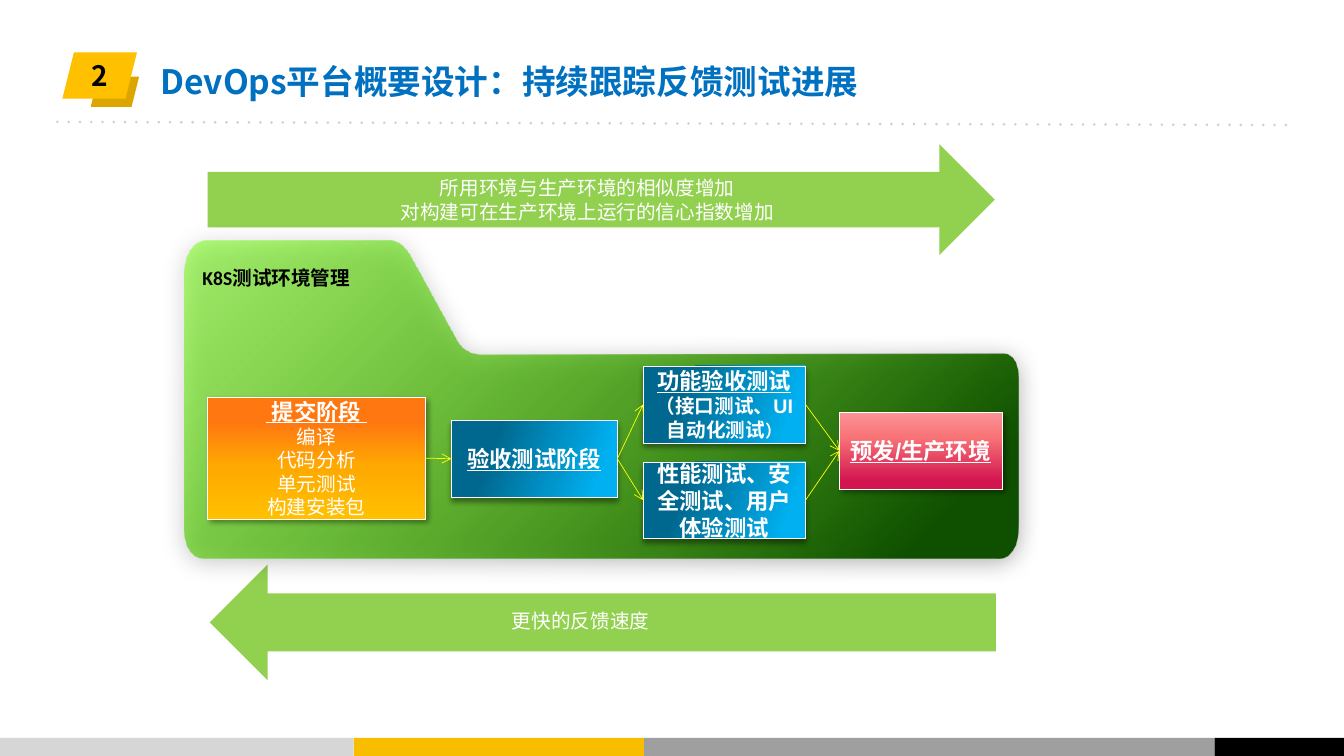
from copy import deepcopy
from dataclasses import dataclass

from lxml import etree
from pptx import Presentation
from pptx.dml.color import RGBColor
from pptx.enum.shapes import MSO_CONNECTOR, MSO_SHAPE
from pptx.enum.text import MSO_ANCHOR, MSO_AUTO_SIZE, PP_ALIGN
from pptx.oxml.ns import qn
from pptx.util import Pt

RECTANGLE, ARROW = MSO_SHAPE.RECTANGLE, MSO_SHAPE.RIGHT_ARROW
PARALLELOGRAM, STRAIGHT = MSO_SHAPE.PARALLELOGRAM, MSO_CONNECTOR.STRAIGHT
LEFT, CENTER = PP_ALIGN.LEFT, PP_ALIGN.CENTER
TOP, MIDDLE = MSO_ANCHOR.TOP, MSO_ANCHOR.MIDDLE
RIGHT_SIDE, LEFT_SIDE = 3, 1


@dataclass(frozen=True)
class Theme:
    title_font: str = "Noto Sans CJK SC"
    label_font: str = "Calibri"
    stage_font: str = "Arial"
    title_size: int = 24
    number_size: int = 20
    stage_size: int = 16
    body_size: int = 14
    small_size: int = 12
    white: str = "FFFFFF"
    black: str = "000000"
    title: str = "0070C0"
    badge: str = "FFC000"
    badge_back: str = "DCA600"
    rule: str = "D0CECE"
    arrow: str = "92D050"
    link: str = "FFFF00"
    footer: tuple = ("D6D6D6", "F9BD00", "9F9F9F", "000000")
    # Gradient stops: position in percent, colour, opacity in percent
    folder: tuple = ((0, "6EFF01", 50), (90, "0F5000", 100))
    orange: tuple = ((20, "FF7711", 100), (58, "FFAA01", 100), (100, "FFC000", 100))
    blue: tuple = ((26, "00688E", 100), (63, "0094CA", 100), (87, "00B0F0", 100))
    red: tuple = ((10, "D2144F", 100), (68, "F87477", 100), (100, "FA9496", 100))


theme = Theme()


def write(frame, lines, font, colour, align=CENTER, anchor=MIDDLE):
    """Fill a text frame with (text, size, bold, underline) lines."""
    frame.text = "\n".join(line[0] for line in lines)
    frame.word_wrap = True
    frame.auto_size = MSO_AUTO_SIZE.NONE
    frame.vertical_anchor = anchor
    for para, (_, size, bold, underline) in zip(frame.paragraphs, lines):
        para.alignment = align
        for span in para.runs:
            span.font.size = Pt(size)
            span.font.bold = bold
            span.font.underline = underline
            span.font.color.rgb = RGBColor.from_string(colour)
            span.font.name = font
            etree.SubElement(span._r.get_or_add_rPr(), qn("a:ea"), typeface=font)


def shade(shape, stops, angle, opacity, blur, distance, direction):
    """Give a shape a clockwise linear gradient and an outer shadow."""
    shape.fill.gradient()
    shape.fill.gradient_angle = 360 - angle
    stop_list = shape._element.spPr.find(".//" + qn("a:gsLst"))
    for stop in list(stop_list):
        stop_list.remove(stop)
    for position, colour, alpha in stops:
        stop = etree.SubElement(stop_list, qn("a:gs"), pos=str(position * 1000))
        fill = etree.SubElement(stop, qn("a:srgbClr"), val=colour)
        etree.SubElement(fill, qn("a:alpha"), val=str(alpha * 1000))
    shape.shadow.inherit = False
    effects = shape._element.spPr.find(qn("a:effectLst"))
    shadow = etree.SubElement(
        effects, qn("a:outerShdw"), blurRad=str(Pt(blur)), dist=str(Pt(distance)),
        dir=str(direction * 60000), algn="ctr", rotWithShape="0")
    tint = etree.SubElement(shadow, qn("a:srgbClr"), val=theme.black)
    etree.SubElement(tint, qn("a:alpha"), val=str(opacity * 1000))


deck = Presentation()
deck.slide_width, deck.slide_height = Pt(960), Pt(540)
page = deck.slides.add_slide(deck.slide_layouts[5])
shapes = page.shapes

# Title
title = shapes.title
title.left, title.top, title.width, title.height = Pt(107.3), Pt(39.6), Pt(672.5), Pt(123.8)
write(title.text_frame, [("DevOps平台概要设计：持续跟踪反馈测试进展", theme.title_size, True, False)],
      theme.title_font, theme.title, LEFT, TOP)

# Footer bars, number badge and wide arrows
footer_edges = (0, 252.7, 460.1, 867.6, 960)
flat_shapes = [
    (RECTANGLE, left, 527, right - left, 13, colour, 0)
    for left, right, colour in zip(footer_edges, footer_edges[1:], theme.footer)
] + [
    (PARALLELOGRAM, 64.8, 54.7, 34.6, 21.6, theme.badge_back, 0),
    (PARALLELOGRAM, 44.6, 37.4, 53.3, 33.1, theme.badge, 0),
    (ARROW, 148.3, 103, 562.3, 79.2, theme.arrow, 0),
    (ARROW, 149.8, 403.2, 561.6, 82.8, theme.arrow, 180),
]
drawn = []
for kind, left, top, width, height, colour, turn in flat_shapes:
    shape = shapes.add_shape(kind, Pt(left), Pt(top), Pt(width), Pt(height))
    shape.fill.solid()
    shape.fill.fore_color.rgb = RGBColor.from_string(colour)
    shape.line.fill.background()
    shape.shadow.inherit = False
    shape.rotation = turn
    drawn.append(shape)
badge, forward_arrow = drawn[-3:-1]
write(badge.text_frame, [("2", theme.number_size, True, False)], theme.title_font, theme.black)
write(forward_arrow.text_frame,
      [(text, theme.body_size, False, False)
       for text in ("所用环境与生产环境的相似度增加", "对构建可在生产环境上运行的信心指数增加")],
      theme.label_font, theme.white)

# Dotted rule under the title
rule = shapes.add_connector(STRAIGHT, Pt(41), Pt(87.1), Pt(920.2), Pt(89.3))
rule.line.color.rgb = RGBColor.from_string(theme.rule)
rule.line.width = Pt(2)
rule_line = rule.line._get_or_add_ln()
rule_line.set("cap", "rnd")
etree.SubElement(rule_line, qn("a:prstDash"), val="dot")
etree.SubElement(rule._element.spPr, qn("a:effectLst"))

# Folder: each corner is a cubic curve, straight edges run between corners
folder_corners = [
    ((342.7, 253.4), (336.2, 252.7), (331.2, 250.6), (326.9, 244.1)),
    ((298.8, 193), (293.8, 184.3), (288.7, 170.6), (276.5, 172)),
    ((147.6, 172), (137.5, 172), (131.8, 182.9), (131.8, 195.8)),
    ((131.8, 378), (131.8, 401), (147.6, 398.9), (147.6, 398.9)),
    ((710.6, 398.9), (710.6, 398.9), (727.2, 402.5), (727.2, 373.7)),
    ((727.2, 272.2), (727.2, 272.2), (727.9, 252.7), (716.4, 252.7)),
]
STEPS = 12
outline = []
for corner in folder_corners:
    for step in range(STEPS + 1):
        t = step / STEPS
        weights = ((1 - t) ** 3, 3 * t * (1 - t) ** 2, 3 * t ** 2 * (1 - t), t ** 3)
        outline.append(tuple(
            Pt(sum(weight * point[axis] for weight, point in zip(weights, corner)))
            for axis in (0, 1)))
builder = shapes.build_freeform(*outline[0])
builder.add_line_segments(outline[1:], close=True)
folder = builder.convert_to_shape()
folder.line.fill.background()
shade(folder, theme.folder, 45, 33, 17.8, 3, 87)

# Labels
for left, top, width, height, text, colour, bold in (
    (358.6, 431.3, 182.9, 31, "更快的反馈速度", theme.white, False),
    (137.5, 186.5, 120.2, 24.5, "K8S测试环境管理", theme.black, True),
):
    box = shapes.add_textbox(Pt(left), Pt(top), Pt(width), Pt(height))
    write(box.text_frame, [(text, theme.body_size, bold, False)],
          theme.label_font, colour, LEFT, TOP)

# Pipeline stages
head, body = theme.stage_size, theme.body_size
submit_lines = [(" 提交阶段 ", head, True, True)] + [
    (text, body, False, False) for text in ("编译", "代码分析", "单元测试", "构建安装包")]
stage_rows = [
    (148.3, 283.7, 155.5, 87.1, theme.orange, 90, 45, submit_lines),
    (322.4, 300.2, 118.6, 55, theme.blue, 20, 90, [("验收测试阶段", head, True, True)]),
    (459.4, 261.4, 116, 55, theme.blue, 20, 90,
     [("功能验收测试", head, True, True), ("（接口测试、UI自动化测试", body, True, False)]),
    (459.4, 329.8, 116, 55, theme.blue, 20, 90,
     [("性能测试、安全测试、用户体验测试", head, True, False)]),
    (599.6, 294.5, 116, 55, theme.red, 270, 45, [("预发/生产环境", head, True, True)]),
]
stages = []
for left, top, width, height, stops, angle, direction, lines in stage_rows:
    stage = shapes.add_shape(RECTANGLE, Pt(left), Pt(top), Pt(width), Pt(height))
    stage.line.color.rgb = RGBColor.from_string(theme.white)
    stage.line.width = Pt(0.25)
    shade(stage, stops, angle, 40, 4, 3, direction)
    write(stage.text_frame, lines, theme.stage_font, theme.white)
    stages.append(stage)
submit, acceptance, functional, performance, production = stages

# The closing bracket is set smaller than the rest of its line
detail = functional.text_frame.paragraphs[1]
detail._p.append(deepcopy(detail.runs[0]._r))
bracket = detail.runs[1]
bracket.text = "）"
bracket.font.size = Pt(theme.small_size)

# Links between stages
for source, target in (
    (submit, acceptance), (acceptance, functional), (acceptance, performance),
    (functional, production), (performance, production),
):
    link = shapes.add_connector(STRAIGHT, 0, 0, 0, 0)
    link.begin_connect(source, RIGHT_SIDE)
    link.end_connect(target, LEFT_SIDE)
    link.line.color.rgb = RGBColor.from_string(theme.link)
    link.line.width = Pt(0.5)
    etree.SubElement(link.line._get_or_add_ln(), qn("a:tailEnd"), type="arrow")
    etree.SubElement(link._element.spPr, qn("a:effectLst"))

deck.save("out.pptx")
